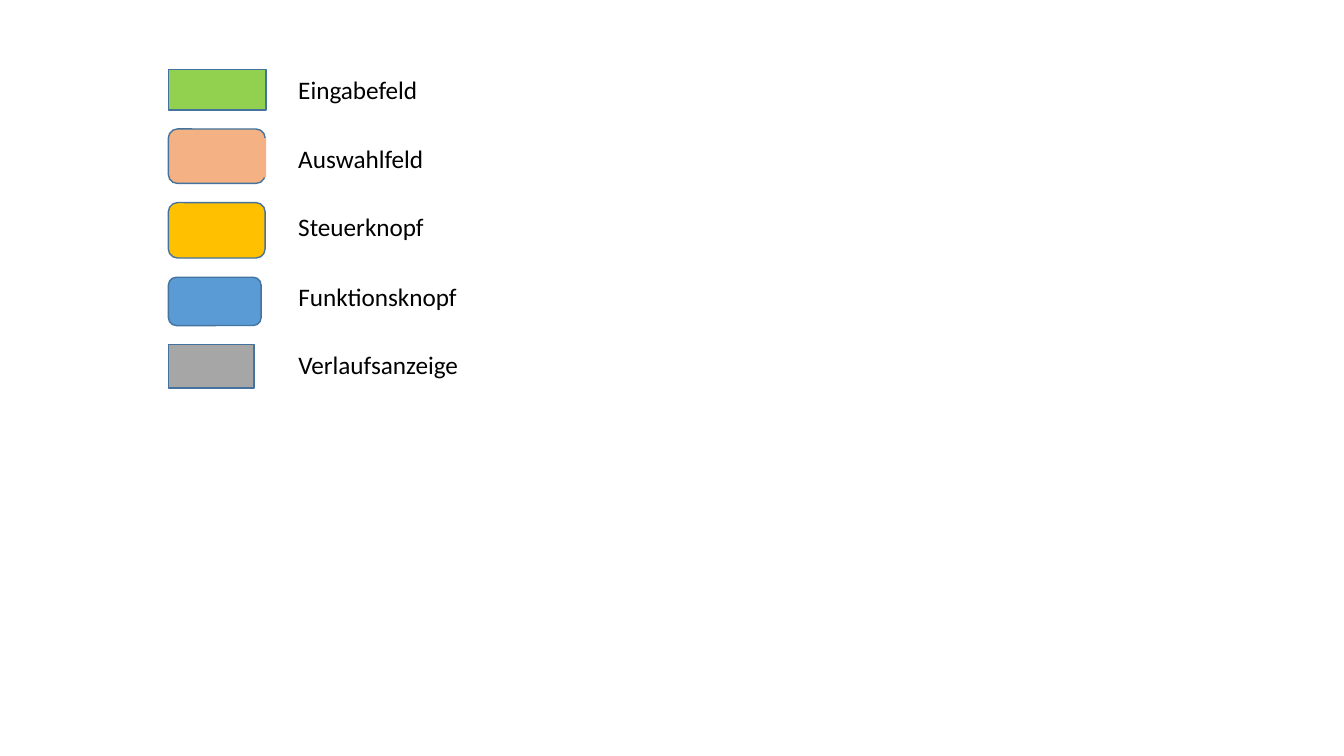
"""Builds a legend slide that explains the colours of the form elements."""
from pptx import Presentation
from pptx.dml.color import RGBColor
from pptx.enum.shapes import MSO_SHAPE
from pptx.enum.text import MSO_AUTO_SIZE
from pptx.util import Pt

PX = 9144
RECTANGLE = MSO_SHAPE.RECTANGLE
ROUNDED = MSO_SHAPE.ROUNDED_RECTANGLE
FIT_TEXT = MSO_AUTO_SIZE.SHAPE_TO_FIT_TEXT

GREEN = RGBColor(0x92, 0xD0, 0x50)
ORANGE = RGBColor(0xF4, 0xB1, 0x83)
GOLD = RGBColor(0xFF, 0xC0, 0x00)
BLUE = RGBColor(0x5B, 0x9B, 0xD5)
GREY = RGBColor(0xA6, 0xA6, 0xA6)
OUTLINE = RGBColor(0x43, 0x73, 0x9E)
BLACK = RGBColor(0x00, 0x00, 0x00)

LEGEND_TOP = 69
SYMBOL_LEFT = 167
SYMBOL_GAP = 19
LABEL_LEFT = 286
LABEL_HEIGHT = 40
LABEL_PITCH = 68.25

LEGEND = [
    ("Eingabefeld", RECTANGLE, 97, 40, GREEN, 140),
    ("Auswahlfeld", ROUNDED, 96, 54, ORANGE, 146),
    ("Steuerknopf", ROUNDED, 96, 55, GOLD, 146),
    ("Funktionsknopf", ROUNDED, 92, 48, BLUE, 179),
    ("Verlaufsanzeige", RECTANGLE, 85, 43, GREY, 181),
]


def add_symbol(shapes, kind, left, top, width, height, fill):
    shape = shapes.add_shape(kind, left * PX, top * PX, width * PX, height * PX)
    shape.shadow.inherit = False
    shape.fill.solid()
    shape.fill.fore_color.rgb = fill
    return shape


presentation = Presentation()
presentation.slide_width = 1333 * PX
presentation.slide_height = 750 * PX
slide = presentation.slides.add_slide(presentation.slide_layouts[6])

symbol_top = LEGEND_TOP
for row, (label, kind, width, height, fill, label_width) in enumerate(LEGEND):
    symbol = add_symbol(slide.shapes, kind, SYMBOL_LEFT, symbol_top, width, height, fill)
    symbol.line.color.rgb = OUTLINE
    symbol.line.width = Pt(1)
    symbol_top += height + SYMBOL_GAP

    label_top = LEGEND_TOP + round(row * LABEL_PITCH)
    text_box = slide.shapes.add_textbox(
        LABEL_LEFT * PX, label_top * PX, label_width * PX, LABEL_HEIGHT * PX)
    text_box.text_frame.word_wrap = False
    text_box.text_frame.auto_size = FIT_TEXT
    run = text_box.text_frame.paragraphs[0].add_run()
    run.text = label
    run.font.name = "Calibri"
    run.font.size = Pt(18)
    run.font.color.rgb = BLACK

selection_area = add_symbol(slide.shapes, RECTANGLE, 172, 137, 92, 39, ORANGE)
selection_area.line.fill.background()

presentation.save("out.pptx")
